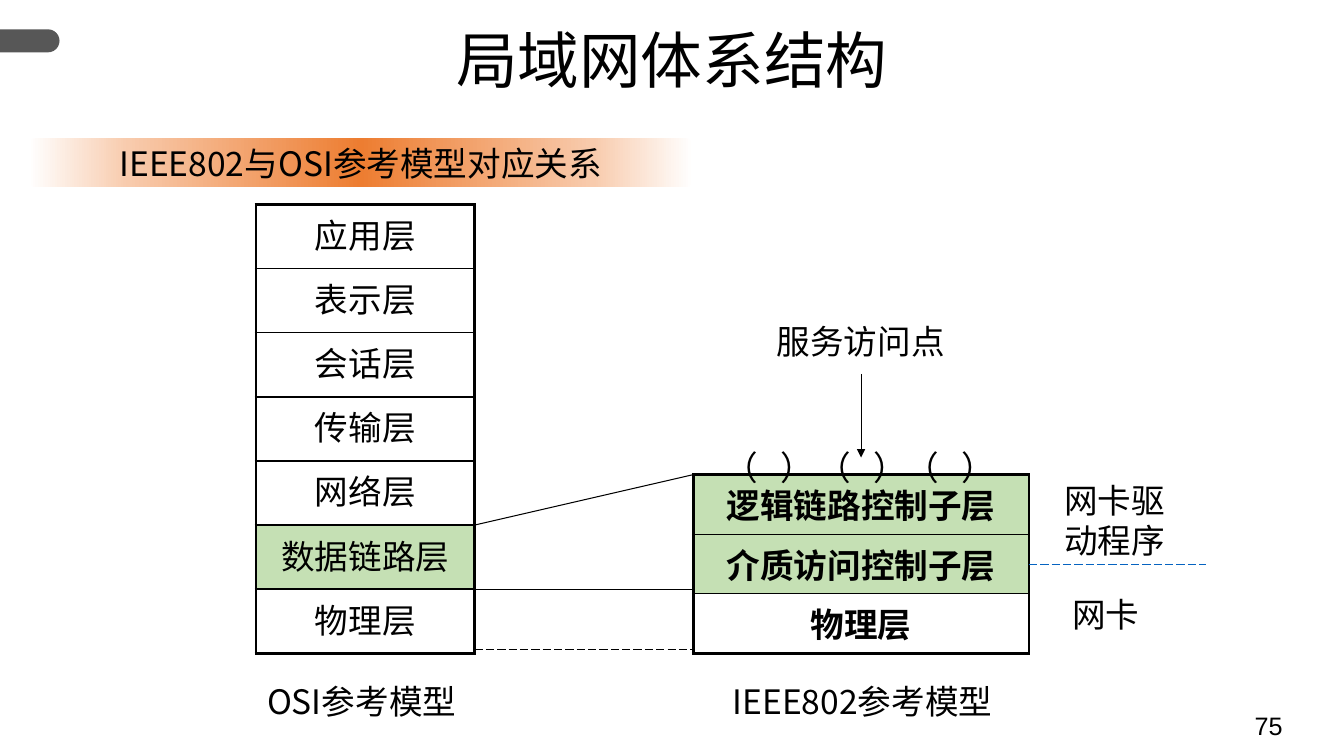
from collections import namedtuple

from lxml.etree import SubElement
from pptx import Presentation
from pptx.dml.color import RGBColor
from pptx.enum.dml import MSO_LINE as Dash
from pptx.enum.shapes import MSO_CONNECTOR as Link, MSO_SHAPE as Preset
from pptx.enum.text import MSO_ANCHOR as Anchor, PP_ALIGN as Align
from pptx.oxml.ns import qn
from pptx.util import Cm, Pt

Box = namedtuple("Box", "left top width height")

COLORS = {"ink": "000000", "paper": "FFFFFF", "green": "C5E0B4", "tab": "575757",
          "peach": "F8CBAD", "orange": "ED7D31", "blue": "0563C1"}
CJK = "Noto Sans CJK SC"
BODY = {"name": CJK, "size": Pt(24)}
STRONG = {"name": "Comic Neue", "size": Pt(24), "bold": True}
TITLE = {"name": "Arial", "size": Pt(44)}
NUMBER = {"name": "Arial", "size": Pt(18)}

OSI = Box(6.45, 5.16, 5.51, 11.3)
IEEE = Box(17.47, 11.96, 8.46, 4.5)
OSI_LAYERS = ["应用层", "表示层", "会话层", "传输层", "网络层", "数据链路层", "物理层"]
IEEE_LAYERS = ["逻辑链路控制子层", "介质访问控制子层", "物理层"]


def rgb(color):
    return RGBColor.from_string(COLORS[color])


def write(frame, words, style=BODY, align=Align.CENTER):
    paragraph = frame.paragraphs[0]
    paragraph.alignment = align
    run = paragraph.add_run()
    run.text = words
    for key, value in style.items():
        setattr(run.font, key, value)
    run.font.color.rgb = rgb("ink")
    properties = run._r.get_or_add_rPr()
    SubElement(properties, qn("a:ea"), typeface=CJK)
    return properties


def add_label(slide, box, words, style=BODY, align=Align.CENTER):
    frame = slide.shapes.add_textbox(*map(Cm, box)).text_frame
    frame.word_wrap = True
    return write(frame, words, style, align)


def add_line(slide, start, end, color="ink", dash=None, arrow=False):
    line = slide.shapes.add_connector(Link.STRAIGHT, *map(Cm, (*start, *end)))
    SubElement(line._element.spPr, qn("a:effectLst"))
    line.line.color.rgb = rgb(color)
    line.line.width = Pt(0.75)
    if dash:
        line.line.dash_style = dash
    if arrow:
        SubElement(line.line._get_or_add_ln(), qn("a:tailEnd"), type="triangle")


def add_border(cell, side, points):
    border = SubElement(cell._tc.get_or_add_tcPr(), qn(f"a:ln{side}"), w=str(Pt(points)))
    fill = SubElement(border, qn("a:solidFill"))
    SubElement(fill, qn("a:srgbClr"), val=COLORS["ink"])


def add_tab(slide, box):
    middle_x, middle_y = box.left + box.width / 2, box.top + box.height / 2
    upright = (middle_x - box.height / 2, middle_y - box.width / 2, box.height, box.width)
    tab = slide.shapes.add_shape(Preset.ROUND_2_SAME_RECTANGLE, *map(Cm, upright))
    tab.rotation = 90
    tab.adjustments[0] = 0.5
    tab.shadow.inherit = False
    tab.fill.solid()
    tab.fill.fore_color.rgb = rgb("tab")
    tab.line.fill.background()


def add_banner(slide, box, words):
    banner = slide.shapes.add_shape(Preset.ROUNDED_RECTANGLE, *map(Cm, box))
    banner.shadow.inherit = False
    banner.line.fill.background()
    banner.fill.gradient()
    banner.fill.gradient_angle = 0
    stops = banner._element.spPr.find(f".//{qn('a:gsLst')}")
    for stop in list(stops):
        stops.remove(stop)
    fade = {0: "paper", 15: "peach", 50: "orange", 85: "peach", 100: "paper"}
    for percent, color in fade.items():
        stop = SubElement(stops, qn("a:gs"), pos=str(percent * 1000))
        SubElement(stop, qn("a:srgbClr"), val=COLORS[color])
    banner.text_frame.vertical_anchor = Anchor.MIDDLE
    write(banner.text_frame, words)


def add_stack(slide, box, layers, green, style, caption, caption_box):
    """Draw one layered model as a table with its caption below."""
    stack = slide.shapes.add_table(len(layers), 1, *map(Cm, box)).table
    stack.first_row = stack.horz_banding = False
    for index, layer in enumerate(layers):
        stack.rows[index].height = Cm(box.height / len(layers))
        cell = stack.cell(index, 0)
        write(cell.text_frame, layer, style)
        widths = {"L": 2.25, "R": 2.25, "T": 1 if index else 2.25,
                  "B": 2.25 if index == len(layers) - 1 else 1}
        for side, points in widths.items():
            add_border(cell, side, points)
        cell.fill.solid()
        cell.fill.fore_color.rgb = rgb("green" if index in green else "paper")
    add_label(slide, caption_box, caption)


def add_mapping(slide, osi, ieee):
    right, row = osi.left + osi.width, osi.height / len(OSI_LAYERS)
    link_top, link_bottom = osi.top + 5 * row, osi.top + 6 * row
    add_line(slide, (right, 16.36), (ieee.left, 16.36), dash=Dash.LONG_DASH)
    add_line(slide, (right, link_bottom), (ieee.left, link_bottom))
    add_line(slide, (right, link_top), (ieee.left, ieee.top))


def add_access_points(slide, ieee):
    for offset in (0.54, 2.88, 5.09):
        point = Box(ieee.left + offset, ieee.top - 0.83, 2.97, 1.27)
        add_label(slide, point, "（ ）", align=Align.LEFT).set("spc", "540")
    arrow_x = ieee.left + ieee.width / 2
    add_line(slide, (arrow_x, ieee.top - 2.54), (arrow_x, ieee.top - 0.43), arrow=True)
    add_label(slide, Box(ieee.left + 1.68, ieee.top - 4.01, 5.08, 1.27), "服务访问点")


def add_card_boundary(slide, ieee):
    right, split = ieee.left + ieee.width, ieee.top + ieee.height / 2 + 0.02
    add_label(slide, Box(right + 0.84, split + 0.6, 2.34, 1.27), "网卡", align=Align.LEFT)
    add_label(slide, Box(right + 0.64, ieee.top, 3.38, 2.31), "网卡驱动程序", align=Align.LEFT)
    add_line(slide, (right, split), (right + 4.45, split), "blue", Dash.LONG_DASH)


def main():
    deck = Presentation()
    deck.slide_width, deck.slide_height = Cm(33.87), Cm(19.05)
    slide = deck.slides.add_slide(deck.slide_layouts[6])
    add_tab(slide, Box(0, 0.74, 1.5, 0.58))
    add_label(slide, Box(0, 0.64, 33.87, 3.18), "局域网体系结构", TITLE).getparent().getparent()
    slide.shapes[-1].text_frame.paragraphs[0].line_spacing = 0.9
    add_label(slide, Box(31.37, 17.78, 2.5, 1.27), "75", NUMBER, Align.LEFT)
    add_banner(slide, Box(0.71, 3.48, 16.76, 1.24), "IEEE802与OSI参考模型对应关系")
    add_stack(slide, OSI, OSI_LAYERS, {5}, BODY,
              "OSI参考模型", Box(6.12, 17.04, 5.99, 1.27))
    add_stack(slide, IEEE, IEEE_LAYERS, {0, 1}, STRONG,
              "IEEE802参考模型", Box(17.53, 17.04, 8.41, 1.27))
    add_mapping(slide, OSI, IEEE)
    add_access_points(slide, IEEE)
    add_card_boundary(slide, IEEE)
    deck.save("out.pptx")


if __name__ == "__main__":
    main()
